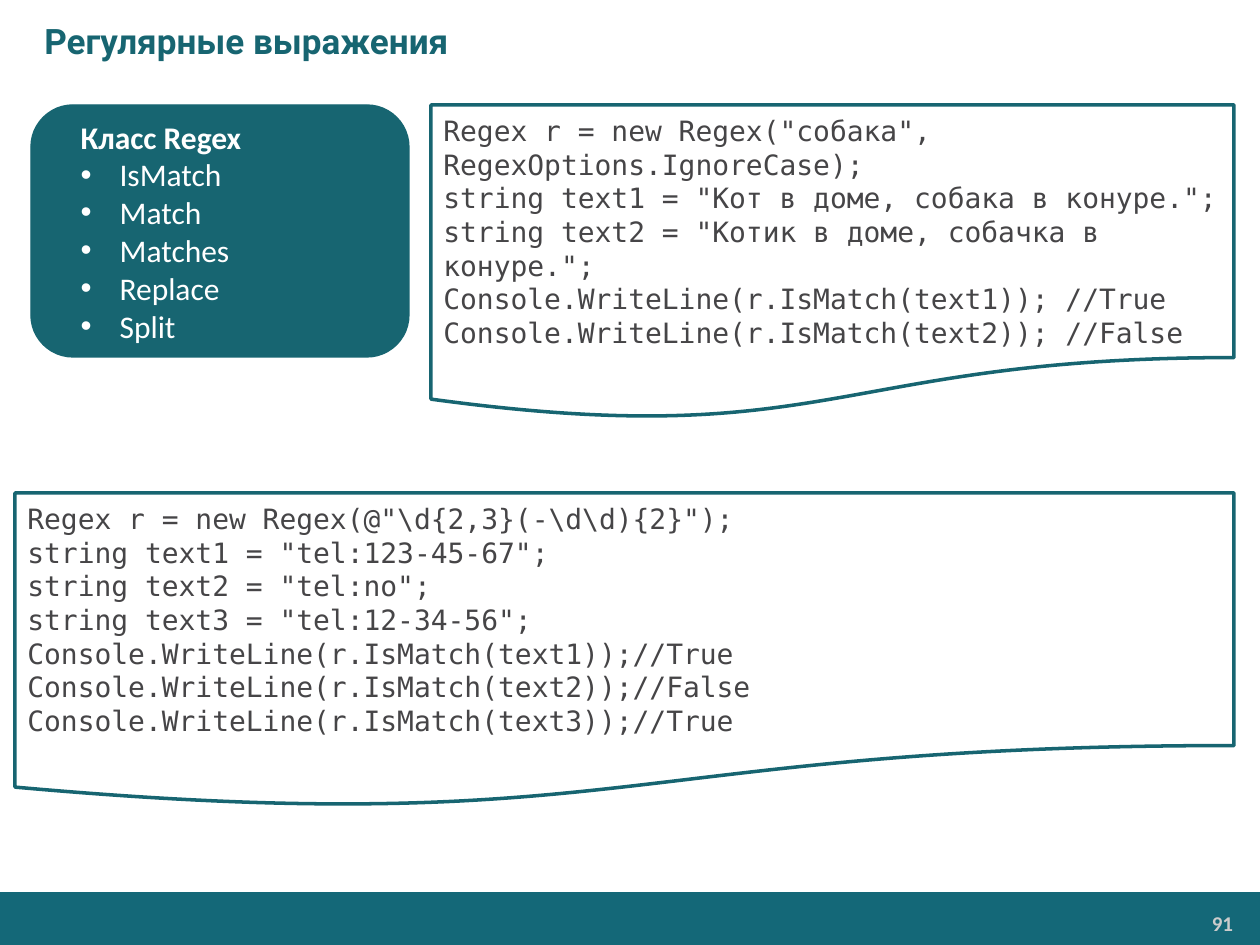
import pptx
import pptx.dml.color
import pptx.enum.shapes
import pptx.enum.text
import pptx.util
from dataclasses import dataclass
from lxml import etree

SHAPE = pptx.enum.shapes.MSO_SHAPE
ALIGN = pptx.enum.text.PP_ALIGN
ANCHOR = pptx.enum.text.MSO_ANCHOR
PX_PER_INCH = 126


@dataclass(frozen=True)
class Theme:
    teal: str = "176571"
    footer: str = "146878"
    white: str = "FFFFFF"
    code: str = "464547"
    number: str = "CCCCCC"
    heading_font: str = "Roboto"
    body_font: str = "Calibri"
    code_font: str = "DejaVu Sans Mono"
    title_size: int = 20
    body_size: int = 18
    code_size: int = 16
    number_size: int = 12


THEME = Theme()


def px(n):
    return pptx.util.Emu(round(n * 914400 / PX_PER_INCH))


def rgb(value):
    return pptx.dml.color.RGBColor.from_string(value)


def add_box(s, kind, box, fill, line=None, width=1):
    sp = s.shapes.add_shape(kind, *map(px, box))
    sp.shadow.inherit = False
    sp.fill.solid()
    sp.fill.fore_color.rgb = rgb(fill)
    if line:
        sp.line.color.rgb = rgb(line)
        sp.line.width = pptx.util.Pt(width)
    else:
        sp.line.fill.background()
    return sp


def add_text(tf, text, *, font, size, color, bold=False, align=ALIGN.LEFT,
             left=0, hanging=0, bullet=None):
    p = tf.paragraphs[0] if not tf.text else tf.add_paragraph()
    p.alignment = align
    pPr = p._p.get_or_add_pPr()
    pPr.set("marL", str(px(left)))
    pPr.set("indent", str(px(-hanging)))
    if bullet:
        ns = pptx.oxml.ns.nsuri("a")
        etree.SubElement(pPr, f"{{{ns}}}buFont", typeface="Arial")
        etree.SubElement(pPr, f"{{{ns}}}buChar", char=bullet)
    r = p.add_run()
    r.text = text
    r.font.name = font
    r.font.size = pptx.util.Pt(size)
    r.font.bold = bold
    r.font.color.rgb = rgb(color)


def frame(sp, anchor=ANCHOR.MIDDLE):
    tf = sp.text_frame
    tf.word_wrap = True
    tf.vertical_anchor = anchor
    return tf


def add_title(s, box, text):
    tf = frame(s.shapes.add_textbox(*map(px, box)))
    add_text(tf, text, font=THEME.heading_font, size=THEME.title_size,
             color=THEME.teal, bold=True, left=32)


def add_footer(s, box, number):
    x, y, w, h = box
    add_box(s, SHAPE.RECTANGLE, box, THEME.footer)
    number_box = (x + w - 224, y + 14, 205, 35)
    tf = frame(s.shapes.add_textbox(*map(px, number_box)), ANCHOR.TOP)
    tf.margin_left = tf.margin_right = px(9)
    tf.margin_top = tf.margin_bottom = px(5)
    add_text(tf, number, font=THEME.body_font, size=THEME.number_size,
             color=THEME.number, bold=True, align=ALIGN.RIGHT)


def add_class_card(s, box, heading, methods):
    tf = frame(add_box(s, SHAPE.ROUNDED_RECTANGLE, box, THEME.teal, THEME.teal, 0.75))
    style = dict(font=THEME.body_font, size=THEME.body_size, color=THEME.white)
    add_text(tf, heading, bold=True, left=25, **style)
    for method in methods:
        add_text(tf, method, left=64, hanging=39, bullet="•", **style)


def add_code_panel(s, box, code):
    tf = frame(add_box(s, SHAPE.FLOWCHART_DOCUMENT, box, THEME.white, THEME.teal, 2))
    for line in code:
        add_text(tf, line, font=THEME.code_font, size=THEME.code_size, color=THEME.code)


def main():
    prs = pptx.Presentation()
    prs.slide_width, prs.slide_height = px(1260), px(945)
    s = prs.slides.add_slide(prs.slide_layouts[6])
    add_footer(s, (0, 892, 1261, 54), "91")
    add_title(s, (0, 0, 1260, 80), "Регулярные выражения")
    add_class_card(s, (31, 105, 378, 252), "Класс Regex",
                   ["IsMatch", "Match", "Matches", "Replace", "Split"])
    add_code_panel(s, (431, 105, 803, 315), [
        'Regex r = new Regex("собака", RegexOptions.IgnoreCase);',
        'string text1 = "Кот в доме, собака в конуре.";',
        'string text2 = "Котик в доме, собачка в конуре.";',
        'Console.WriteLine(r.IsMatch(text1)); //True',
        'Console.WriteLine(r.IsMatch(text2)); //False',
    ])
    add_code_panel(s, (15, 493, 1219, 315), [
        r'Regex r = new Regex(@"\d{2,3}(-\d\d){2}");',
        'string text1 = "tel:123-45-67";',
        'string text2 = "tel:no";',
        'string text3 = "tel:12-34-56";',
        'Console.WriteLine(r.IsMatch(text1));//True',
        'Console.WriteLine(r.IsMatch(text2));//False',
        'Console.WriteLine(r.IsMatch(text3));//True',
    ])
    prs.save("out.pptx")


if __name__ == "__main__":
    main()
